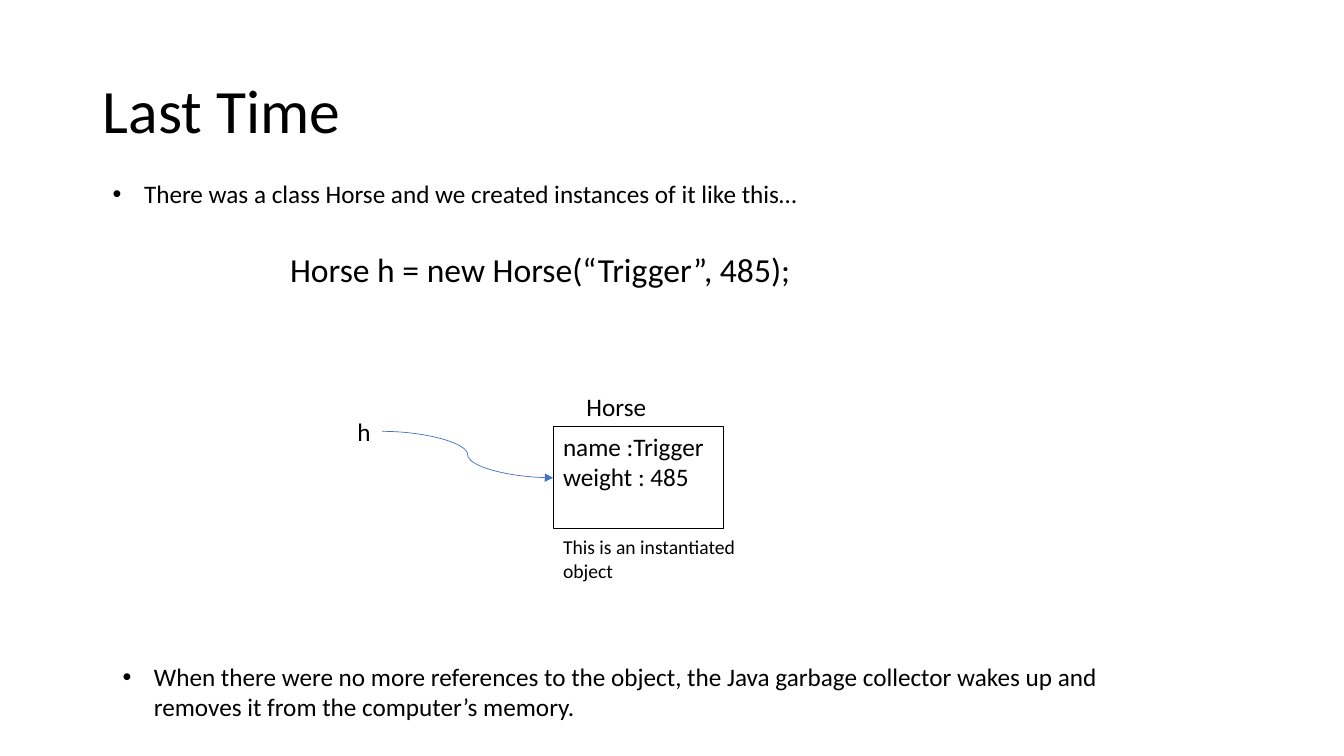
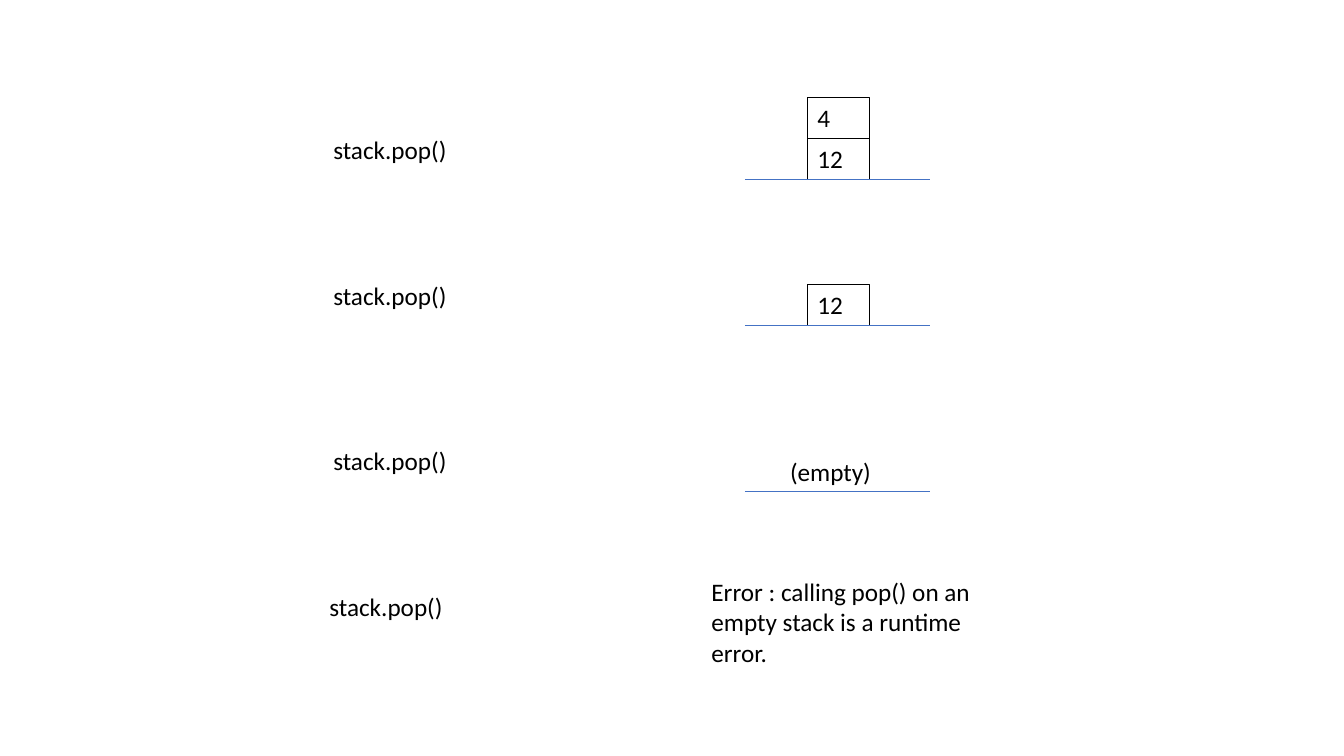
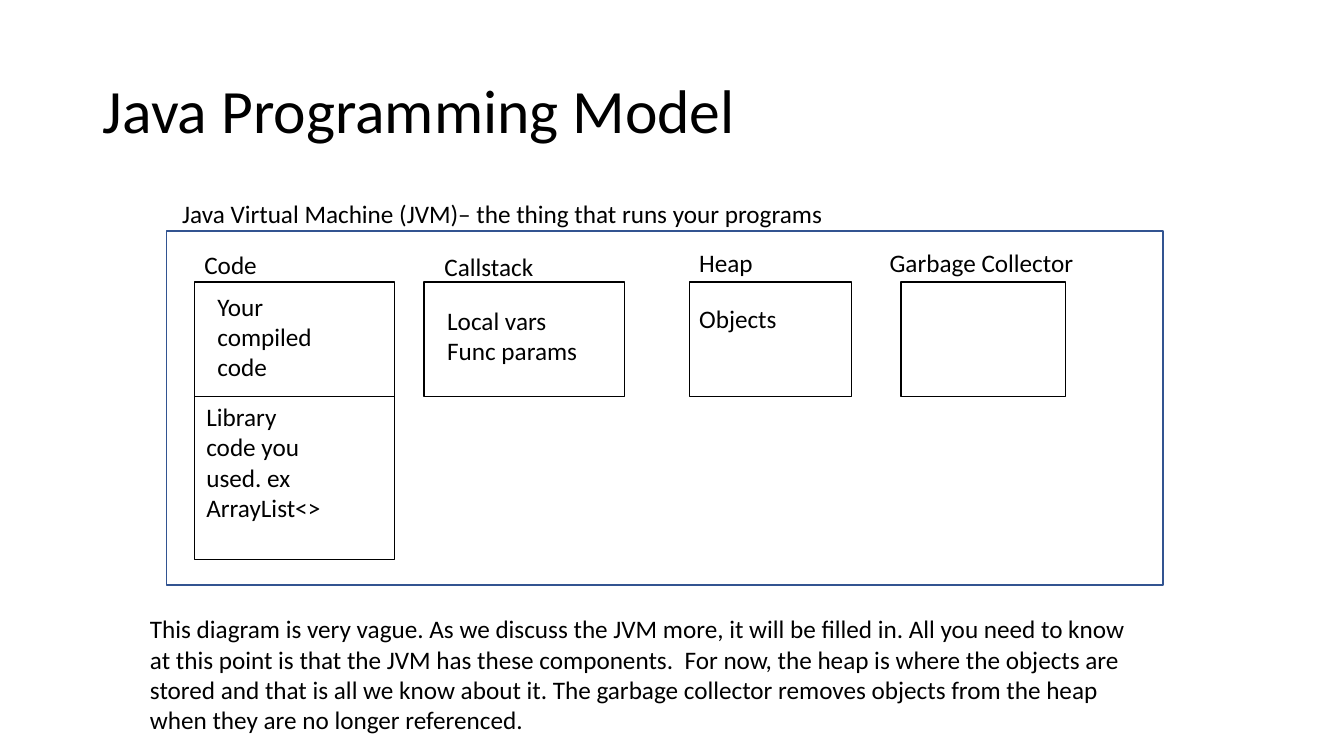
import pptx
import pptx.util
import pptx.dml.color
import pptx.enum.shapes
import pptx.enum.text
import pptx.oxml.ns
import lxml.etree

Cm, Pt = pptx.util.Cm, pptx.util.Pt
FONT, BLACK, BLUE, NAVY = "Calibri", "000000", "4472C4", "325491"
LINE_H = 1.02


def rgb(value):
    """Turn a hex string into a colour."""
    return pptx.dml.color.RGBColor.from_string(value)


def add_xml(parent, tag, **attributes):
    """Append a drawing element to parent."""
    return lxml.etree.SubElement(parent, pptx.oxml.ns.qn(tag), attributes)


def style(p, size):
    """Apply the shared black font to a paragraph."""
    p.alignment = pptx.enum.text.PP_ALIGN.LEFT
    p.font.name = FONT
    p.font.size = Pt(size)
    p.font.color.rgb = rgb(BLACK)


def write(sp, lines, size=18, bullet=False):
    """Fill a shape with one paragraph per line."""
    tf = sp.text_frame
    tf.word_wrap = True
    tf.vertical_anchor = pptx.enum.text.MSO_ANCHOR.TOP
    for i, line in enumerate(lines):
        p = tf.add_paragraph() if i else tf.paragraphs[0]
        p.text = line
        if bullet:
            pPr = p._p.get_or_add_pPr()
            pPr.set("marL", str(Cm(0.79)))
            pPr.set("indent", str(-Cm(0.79)))
            add_xml(pPr, "a:buFont", typeface="Arial")
            add_xml(pPr, "a:buChar", char="•")
        style(p, size)


def add_text(s, x, y, w, h, *lines, size=18, bullet=False):
    """Place a text box."""
    write(s.shapes.add_textbox(Cm(x), Cm(y), Cm(w), Cm(h)), lines, size, bullet)


def add_box(s, x, y, w, h, *lines, color=BLACK, weight=1):
    """Place an unfilled outlined rectangle, with text if given."""
    sp = s.shapes.add_shape(pptx.enum.shapes.MSO_SHAPE.RECTANGLE, Cm(x), Cm(y), Cm(w), Cm(h))
    sp.shadow.inherit = False
    sp.fill.background()
    sp.line.color.rgb = rgb(color)
    sp.line.width = Pt(weight)
    if lines:
        write(sp, lines)


def add_line(s, x1, y1, x2, y2, curved_arrow=False):
    """Draw a thin straight line or a curved arrow."""
    kinds = pptx.enum.shapes.MSO_CONNECTOR
    kind = kinds.CURVE if curved_arrow else kinds.STRAIGHT
    line = s.shapes.add_connector(kind, Cm(x1), Cm(y1), Cm(x2), Cm(y2))
    line.line.color.rgb = rgb(BLUE)
    line.line.width = Pt(0.5)
    if curved_arrow:
        add_xml(line.line._get_or_add_ln(), "a:tailEnd", type="triangle")
    add_xml(line._element.spPr, "a:effectLst")


def add_titled_slide(prs, text):
    """Add a slide with the shared title style."""
    s = prs.slides.add_slide(prs.slide_layouts[5])
    title = s.shapes.title
    title.left, title.top, title.width, title.height = Cm(2.34), Cm(1.02), Cm(29.21), Cm(3.68)
    title.text_frame.text = text
    title.text_frame.vertical_anchor = pptx.enum.text.MSO_ANCHOR.MIDDLE
    p = title.text_frame.paragraphs[0]
    p.line_spacing = 0.9
    style(p, 44)
    return s


def add_stack(s, base, values):
    """Draw a pop call and the stack that it leaves, top value first."""
    cell_h = 1.03
    add_text(s, 8.15, base - 1.27, 4.98, LINE_H, "stack.pop()")
    for level, value in enumerate(reversed(values), 1):
        add_box(s, 20.35, base - level * cell_h, 1.57, cell_h, value, weight=0.75)
    if not values:
        add_text(s, 19.66, base - 0.99, 2.62, LINE_H, "(empty)")
    add_line(s, 18.77, base, 23.44, base)


def build_last_time(prs):
    """Build the recap of objects and references."""
    s = add_titled_slide(prs, "Last Time")
    add_text(s, 2.59, 4.37, 26.06, 1.8,
             "There was a class Horse and we created instances of it like this…", bullet=True)
    add_text(s, 7.06, 6.15, 16.94, 2.06, "Horse h = new Horse(“Trigger”, 485);", size=24)
    add_text(s, 8.76, 10.36, 0.89, LINE_H, "h")
    add_text(s, 14.53, 9.73, 2.72, LINE_H, "Horse")
    add_line(s, 9.63, 10.87, 13.94, 12.04, curved_arrow=True)
    add_box(s, 13.94, 10.74, 4.29, 2.57, "name :Trigger", "weight : 485", weight=0.75)
    add_text(s, 13.94, 13.36, 5.64, 1.45, "This is an instantiated object", size=14)
    add_text(s, 2.84, 16.54, 26.06, 2.57,
             "When there were no more references to the object, the Java garbage collector "
             "wakes up and removes it from the computer’s memory.", bullet=True)


def build_stack_pops(prs):
    """Build the sequence of pop calls."""
    s = prs.slides.add_slide(prs.slide_layouts[6])
    for base, values in ((4.52, ["4", "12"]), (8.2, ["12"]), (12.37, [])):
        add_stack(s, base, values)
    add_text(s, 8.05, 14.78, 4.98, LINE_H, "stack.pop()")
    add_text(s, 17.68, 14.4, 7.49, 2.57,
             "Error : calling pop() on an empty stack is a runtime error.")


def build_java_model(prs):
    """Build the diagram of the virtual machine."""
    s = add_titled_slide(prs, "Java Programming Model")
    add_box(s, 4.19, 5.82, 25.12, 8.92, color=NAVY)
    add_text(s, 4.34, 4.88, 17.27, LINE_H,
             "Java Virtual Machine (JVM)– the thing that runs your programs")
    top, bottom = 7.11, 9.99
    components = (
        ("Code", 4.9, 5.05, 4.9, 6.17),
        ("Callstack", 10.69, 5.05, 10.95, 6.2),
        ("Heap", 17.37, 4.09, 17.37, 6.1),
        ("Garbage Collector", 22.71, 4.14, 22.17, 6.1),
    )
    for name, x, w, label_x, label_y in components:
        add_box(s, x, top, w, bottom - top)
        add_text(s, label_x, label_y, 5.74, LINE_H, name)
    add_box(s, 4.9, bottom, 5.05, 4.11)
    add_text(s, 5.23, 7.21, 3.58, 2.57, "Your compiled code")
    add_text(s, 4.95, bottom, 3.58, 3.33, "Library code you used. ex ArrayList<>")
    add_text(s, 11.02, 7.57, 3.84, 1.8, "Local vars", "Func params")
    add_text(s, 17.37, 7.52, 3.05, LINE_H, "Objects")
    add_text(s, 3.53, 15.34, 25.6, 3.33,
             "This diagram is very vague. As we discuss the JVM more, it will be filled in. "
             "All you need to know at this point is that the JVM has these components.  "
             "For now, the heap is where the objects are stored and that is all we know about "
             "it. The garbage collector removes objects from the heap when they are no longer "
             "referenced.")


def main():
    """Build and save the presentation."""
    prs = pptx.Presentation()
    prs.slide_width, prs.slide_height = Cm(33.87), Cm(19.05)
    build_last_time(prs)
    build_stack_pops(prs)
    build_java_model(prs)
    prs.save("out.pptx")


if __name__ == "__main__":
    main()
